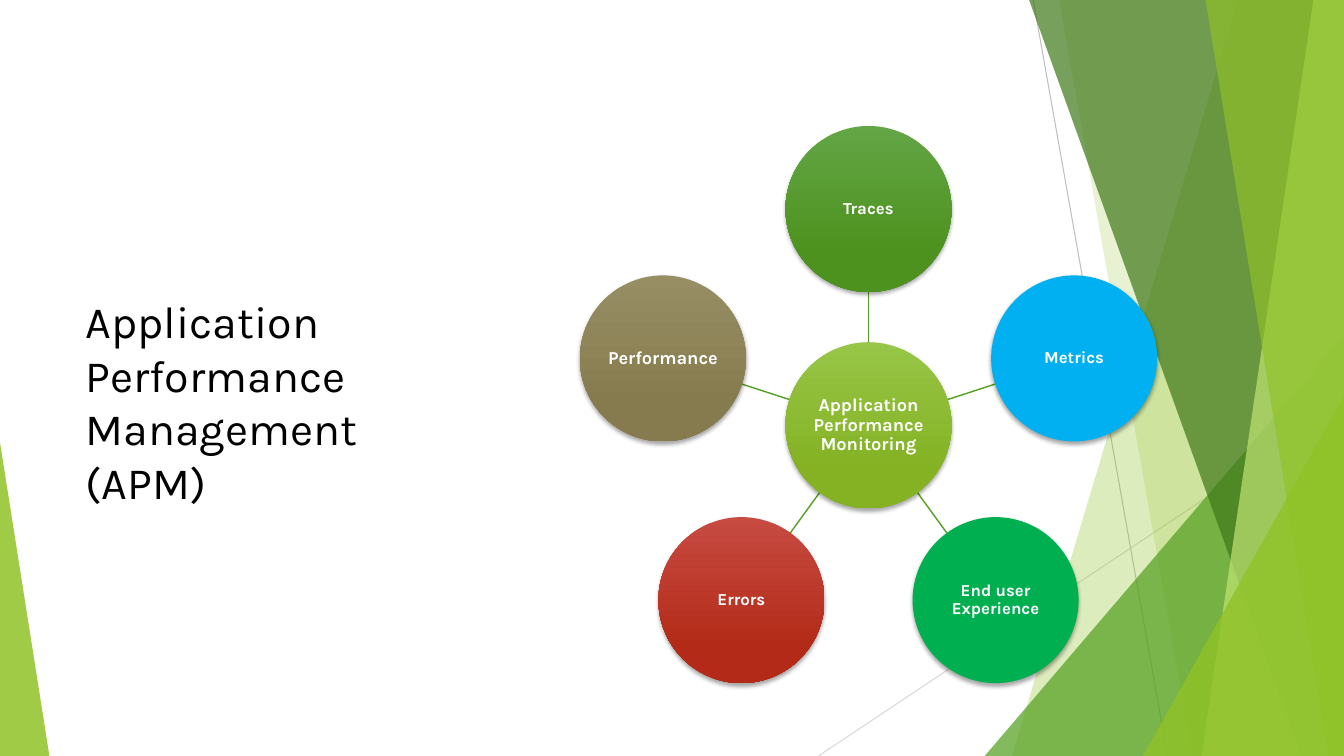
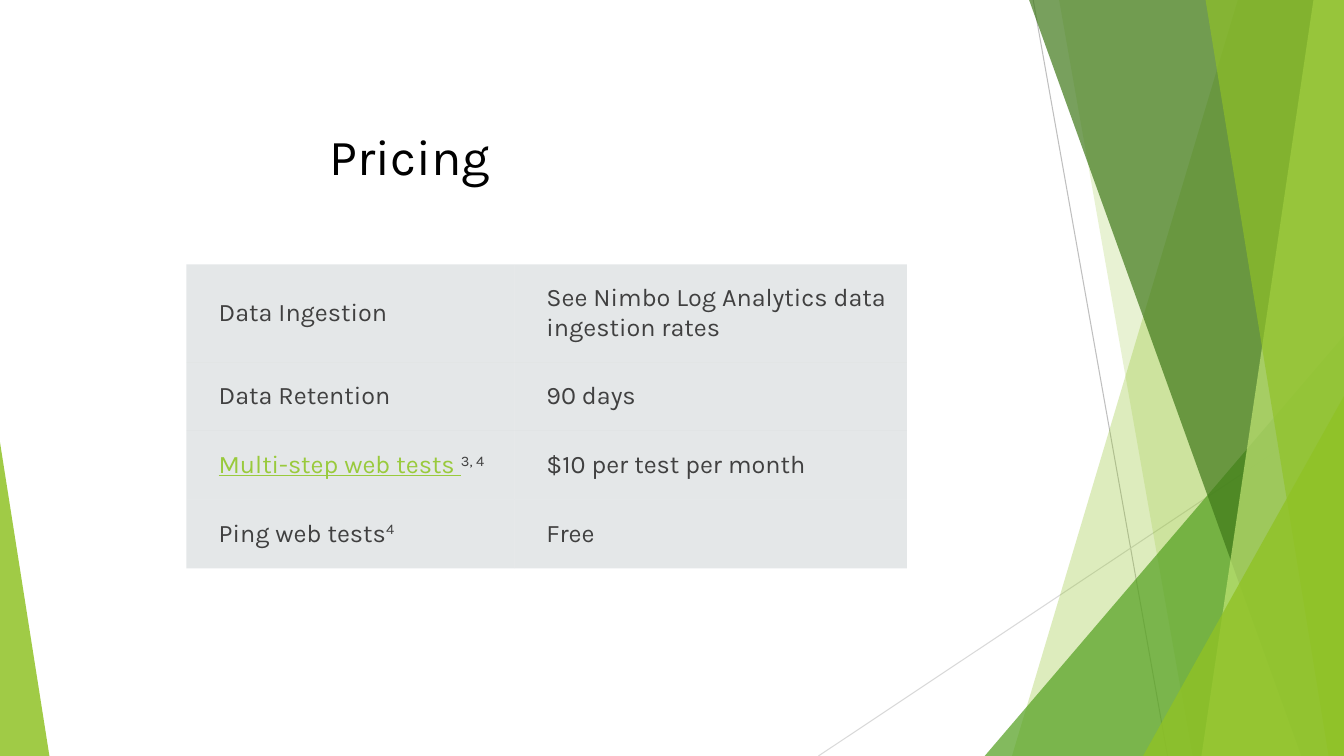
"""Build two slides on application performance management."""
from dataclasses import dataclass
from math import cos, pi, sin

from lxml.etree import SubElement
from pptx import Presentation
from pptx.dml.color import RGBColor
from pptx.enum.shapes import MSO_CONNECTOR, MSO_SHAPE
from pptx.enum.text import MSO_ANCHOR, MSO_AUTO_SIZE, PP_ALIGN
from pptx.oxml.ns import qn
from pptx.util import Pt

STRAIGHT = MSO_CONNECTOR.STRAIGHT
ELLIPSE = MSO_SHAPE.OVAL
TRIANGLE = MSO_SHAPE.ISOSCELES_TRIANGLE
MIDDLE = MSO_ANCHOR.MIDDLE
NO_AUTOFIT = MSO_AUTO_SIZE.NONE
LEFT = PP_ALIGN.LEFT
CENTER = PP_ALIGN.CENTER
TITLE_ONLY_LAYOUT = 5


@dataclass(frozen=True)
class Theme:
    """Colours and type sizes of the presentation."""

    font: str = "Karla"
    black: str = "000000"
    white: str = "FFFFFF"
    body: str = "404040"
    link: str = "99CA3C"
    lime: str = "90C226"
    green: str = "54A021"
    forest: str = "3F7819"
    pale_lime: str = "C0E474"
    dark_rule: str = "BFBFBF"
    light_rule: str = "D9D9D9"
    cell: str = "B4BCBE"
    hub: tuple = ("97C547", "84B223")
    traces: tuple = ("63A545", "4D921E")
    metrics: tuple = ("00B0F0",)
    experience: tuple = ("00B050",)
    errors: tuple = ("C74B42", "B32B18")
    performance: tuple = ("988E64", "857B4E")
    side_title_size: float = 32
    title_size: float = 36
    table_size: float = 18
    large_label_size: float = 13
    label_size: float = 12


@dataclass(frozen=True)
class Box:
    """A rectangle in points."""

    left: float
    top: float
    width: float
    height: float

    @property
    def right(self):
        """Return the right edge."""
        return self.left + self.width

    @property
    def bottom(self):
        """Return the bottom edge."""
        return self.top + self.height

    def lengths(self):
        """Return the four measures as lengths."""
        return [Pt(value) for value in (self.left, self.top, self.width, self.height)]


THEME = Theme()
SLIDE_BOX = Box(0, 0, 960, 540)

RULES = [
    ((738, 0), (834, 540), THEME.dark_rule),
    ((960, 290), (584.6, 540), THEME.light_rule),
]
PANEL, WEDGE = "panel", "wedge"
BACKDROP = [
    (PANEL, (884.2, 722.9), THEME.lime, 30),
    (PANEL, (756.5, 851.8), THEME.lime, 20),
    (WEDGE, (703.4, 239.8, 960, 1), THEME.green, 72),
    (PANEL, (735.1, 929.5), THEME.forest, 70),
    (PANEL, (938.2, 858.2), THEME.pale_lime, 70),
    (PANEL, (861.1, 949), THEME.lime, 65),
    (WEDGE, (816.5, 283, 960, 1), THEME.lime, 80),
    (WEDGE, (0, 316, 35.3, 0), THEME.lime, 85),
]
HUB = ("Application Performance Monitoring", THEME.hub, THEME.large_label_size)
SATELLITES = [
    ("Traces", THEME.traces, THEME.label_size),
    ("Metrics", THEME.metrics, THEME.label_size),
    ("End user Experience", THEME.experience, THEME.label_size),
    ("Errors", THEME.errors, THEME.label_size),
    ("Performance", THEME.performance, THEME.large_label_size),
]
PLAIN, LINK, SUPERSCRIPT = "plain", "link", "superscript"
PRICES = [
    ([("Data Ingestion", PLAIN)], "See Nimbo Log Analytics data ingestion rates"),
    ([("Data Retention", PLAIN)], "90 days"),
    ([("Multi-step web tests ", LINK), ("3, 4", SUPERSCRIPT)], "$10 per test per month"),
    ([("Ping web tests", PLAIN), ("4", SUPERSCRIPT)], "Free"),
]


def rgb(colour):
    """Return a colour object for a hexadecimal string."""
    return RGBColor.from_string(colour)


def style_run(run, size, colour, bold=False):
    """Set the font of a run."""
    run.font.name = THEME.font
    run.font.size = Pt(size)
    run.font.bold = bold
    run.font.color.rgb = rgb(colour)


def set_opacity(element, percent):
    """Make every colour inside an element partly transparent."""
    for colour in list(element.iter(qn("a:srgbClr"))):
        SubElement(colour, qn("a:alpha")).set("val", str(percent * 1000))


def add_line(slide, start, end, colour, width):
    """Add a straight line without a shadow."""
    points = [Pt(value) for value in (*start, *end)]
    line = slide.shapes.add_connector(STRAIGHT, *points)
    line.line.color.rgb = rgb(colour)
    line.line.width = Pt(width)
    SubElement(line.element.spPr, qn("a:effectLst"))
    return line


def add_panel(slide, box, top_x, bottom_x):
    """Add a slanted panel that reaches the right edge of the box."""
    corners = [(box.right, box.top), (box.right, box.bottom), (box.left + bottom_x, box.bottom)]
    builder = slide.shapes.build_freeform(Pt(box.left + top_x), Pt(box.top))
    builder.add_line_segments([(Pt(x), Pt(y)) for x, y in corners], close=True)
    return builder.convert_to_shape()


def add_wedge(slide, box, left, top, right, apex):
    """Add a triangle that stands on the bottom of the box."""
    wedge_box = Box(box.left + left, box.top + top, right - left, box.height - top)
    wedge = slide.shapes.add_shape(TRIANGLE, *wedge_box.lengths())
    wedge.adjustments[0] = apex
    return wedge


def add_backdrop(slide, master, box):
    """Draw the shared backdrop and move it to the slide master."""
    shapes = []
    for start, end, colour in RULES:
        start, end = [(box.left + x, box.top + y) for x, y in (start, end)]
        shapes.append(add_line(slide, start, end, colour, 0.75))
    builders = {PANEL: add_panel, WEDGE: add_wedge}
    for kind, geometry, colour, opacity in BACKDROP:
        shape = builders[kind](slide, box, *geometry)
        shape.shadow.inherit = False
        shape.fill.solid()
        shape.fill.fore_color.rgb = rgb(colour)
        set_opacity(shape.element.spPr, opacity)
        shape.line.fill.background()
        shapes.append(shape)
    for index, shape in enumerate(shapes):
        for properties in shape.element.iter(qn("p:cNvPr")):
            properties.set("id", str(100 + index))
        master.shapes.element.insert(2 + index, shape.element)


def set_title(slide, box, text, size):
    """Place and format the title placeholder."""
    title = slide.shapes.title
    title.left, title.top, title.width, title.height = box.lengths()
    frame = title.text_frame
    frame.text = text
    frame.word_wrap = True
    frame.auto_size = NO_AUTOFIT
    frame.vertical_anchor = MIDDLE
    paragraph = frame.paragraphs[0]
    paragraph.alignment = LEFT
    style_run(paragraph.runs[0], size, THEME.black)


def add_circle(slide, center, diameter, label, colours, size):
    """Add a labelled circle with a soft shadow."""
    x, y = center
    box = Box(x - diameter / 2, y - diameter / 2, diameter, diameter)
    circle = slide.shapes.add_shape(ELLIPSE, *box.lengths())
    circle.line.fill.background()
    if len(colours) == 1:
        circle.fill.solid()
        circle.fill.fore_color.rgb = rgb(colours[0])
    else:
        circle.fill.gradient()
        circle.fill.gradient_angle = 270
        for stop, colour, position in zip(circle.fill.gradient_stops, colours, (0, 0.78)):
            stop.color.rgb = rgb(colour)
            stop.position = position
    circle.shadow.inherit = False
    effects = circle.element.spPr.find(qn("a:effectLst"))
    shadow = SubElement(effects, qn("a:outerShdw"))
    for name, value in (("blurRad", Pt(3)), ("dist", Pt(2)), ("dir", 5400000), ("rotWithShape", 0)):
        shadow.set(name, str(int(value)))
    SubElement(shadow, qn("a:srgbClr")).set("val", THEME.black)
    set_opacity(shadow, 35)
    frame = circle.text_frame
    frame.text = label
    frame.word_wrap = True
    frame.vertical_anchor = MIDDLE
    frame.margin_left = frame.margin_right = frame.margin_top = frame.margin_bottom = Pt(0.7)
    paragraph = frame.paragraphs[0]
    paragraph.alignment = CENTER
    paragraph.line_spacing = 0.9
    style_run(paragraph.runs[0], size, THEME.white, bold=True)


def add_radial_diagram(slide, box):
    """Add a hub with satellites spread evenly around it."""
    diameter = 0.298 * box.height
    orbit = (box.height - diameter) / (1 + cos(pi / len(SATELLITES)))
    center_x = box.left + box.width / 2
    center_y = box.top + diameter / 2 + orbit

    def around(index, radius):
        """Return the point at a radius in the direction of a satellite."""
        angle = 2 * pi * index / len(SATELLITES)
        return center_x + radius * sin(angle), center_y - radius * cos(angle)

    for index in range(len(SATELLITES)):
        start, end = around(index, diameter / 2), around(index, orbit - diameter / 2)
        add_line(slide, start, end, THEME.green, 1)
    add_circle(slide, (center_x, center_y), diameter, *HUB)
    for index, satellite in enumerate(SATELLITES):
        add_circle(slide, around(index, orbit), diameter, *satellite)


def fill_cell(cell, parts):
    """Write the runs of a table cell and format it."""
    cell.fill.solid()
    cell.fill.fore_color.rgb = rgb(THEME.cell)
    cell.vertical_anchor = MIDDLE
    cell.margin_left = Pt(23)
    cell.margin_right = cell.margin_top = cell.margin_bottom = Pt(12)
    paragraph = cell.text_frame.paragraphs[0]
    for text, kind in parts:
        run = paragraph.add_run()
        run.text = text
        style_run(run, THEME.table_size, THEME.link if kind == LINK else THEME.body)
        if kind == LINK:
            run.font.underline = True
        if kind == SUPERSCRIPT:
            run.font._element.set("baseline", "30000")


def add_price_table(slide, box):
    """Add the table of prices without borders."""
    frame = slide.shapes.add_table(len(PRICES), 2, *box.lengths())
    table = frame.table
    table.first_row = table.horz_banding = False
    for column, share in zip(table.columns, (0.455, 0.545)):
        column.width = Pt(box.width * share)
    for index, (row, (item, price)) in enumerate(zip(table.rows, PRICES)):
        row.height = Pt(box.height * (0.226 if index else 0.322))
        fill_cell(row.cells[0], item)
        fill_cell(row.cells[1], [(price, PLAIN)])
    for properties in frame.element.iter(qn("a:tcPr")):
        set_opacity(properties, 35)
        for index, side in enumerate(("a:lnL", "a:lnR", "a:lnT", "a:lnB")):
            border = SubElement(properties, qn(side))
            SubElement(border, qn("a:noFill"))
            properties.insert(index, border)


def main():
    """Build and save the presentation."""
    presentation = Presentation()
    presentation.slide_width = Pt(SLIDE_BOX.width)
    presentation.slide_height = Pt(SLIDE_BOX.height)
    layout = presentation.slide_layouts[TITLE_ONLY_LAYOUT]
    overview, pricing = [presentation.slides.add_slide(layout) for _ in range(2)]
    add_backdrop(overview, presentation.slide_master, SLIDE_BOX)
    title = "Application Performance Management (APM)"
    set_title(overview, Box(54, 84, 261, 405), title, THEME.side_title_size)
    add_radial_diagram(overview, Box(414.2, 90, 412.4, 398))
    set_title(pricing, Box(228, 60.5, 678, 101.5), "Pricing", THEME.title_size)
    add_price_table(pricing, Box(133.2, 188.8, 514.6, 217.2))
    presentation.save("out.pptx")


if __name__ == "__main__":
    main()
